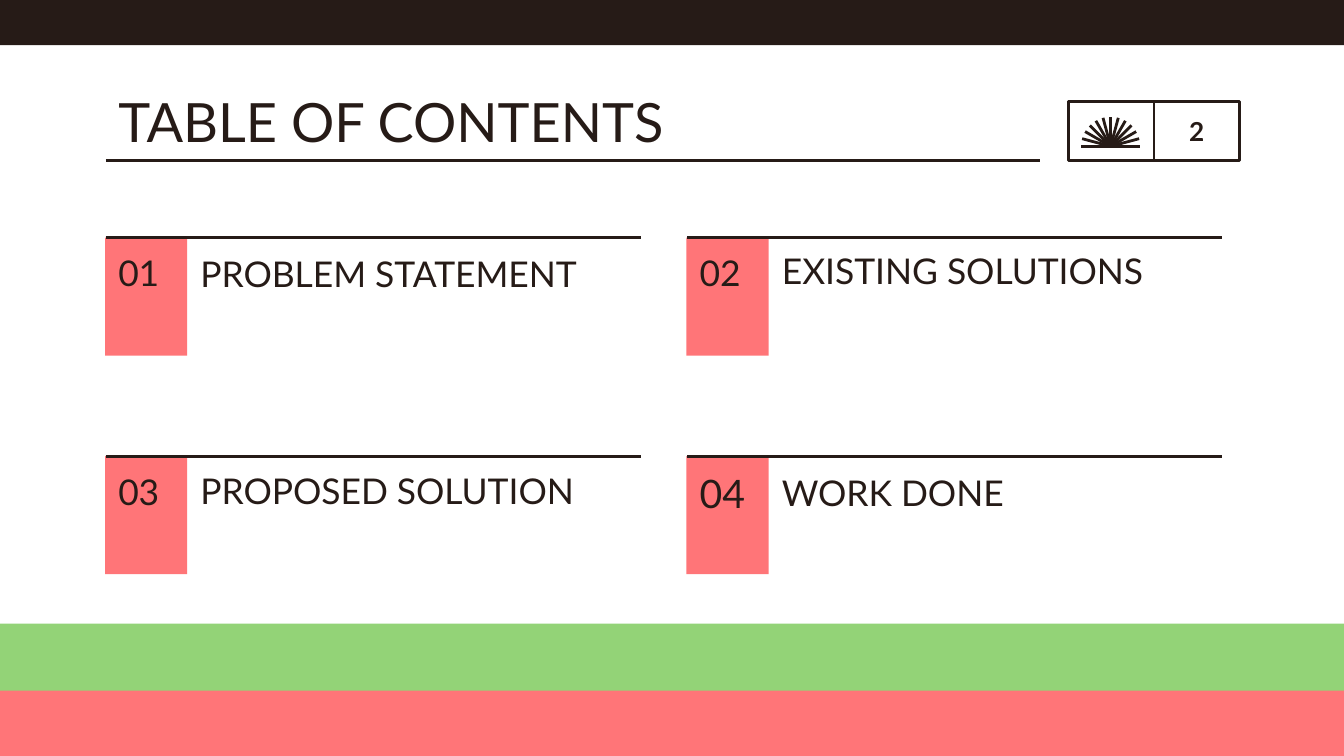
from math import cos, radians, sin

from lxml.etree import SubElement
from pptx import Presentation
from pptx.dml.color import RGBColor
from pptx.enum.shapes import MSO_CONNECTOR as Connector, MSO_SHAPE as Shape
from pptx.enum.text import MSO_ANCHOR as Anchor, PP_ALIGN as Align
from pptx.oxml.ns import qn
from pptx.util import Pt

INK = RGBColor(0x26, 0x1B, 0x17)
CORAL = RGBColor(0xFF, 0x75, 0x78)
GREEN = RGBColor(0x93, 0xD3, 0x77)
FONT = "Lato"
WIDTH, HEIGHT = 720, 405

TITLE = "TABLE OF CONTENTS"
PAGE_NUMBER = "2"
BANDS = [(368.6, 36.4, CORAL), (334.1, 36, GREEN), (0, 24.2, INK)]
TOPICS = [
    ("01", 19, "PROBLEM STATEMENT", 30.7),
    ("02", 19, "EXISTING SOLUTIONS", 28.9),
    ("03", 19, "PROPOSED SOLUTION", 29.8),
    ("04", 21, "WORK DONE", 30.7),
]
GRID_LEFT, GRID_TOP = 56.3, 127.4
COLUMN_STEP, ROW_STEP = 311.5, 117
TILE_WIDTH, TILE_HEIGHT = 44, 63.2
RULE_WIDTH, LABEL_WIDTH = 287, 252
BADGE_LEFT, BADGE_TOP, BADGE_WIDTH, BADGE_HEIGHT = 572.5, 54.5, 91.5, 31.5
SUN_X, SUN_Y, SUN_RADIUS = 595, 78.4, 15.8

deck = Presentation()
deck.slide_width, deck.slide_height = Pt(WIDTH), Pt(HEIGHT)
page = deck.slides.add_slide(deck.slide_layouts[6])


def add_block(left, top, width, height, fill=None, line=None):
    block = page.shapes.add_shape(Shape.RECTANGLE, Pt(left), Pt(top), Pt(width), Pt(height))
    block.shadow.inherit = False
    if fill is None:
        block.fill.background()
    else:
        block.fill.solid()
        block.fill.fore_color.rgb = fill
    if line is None:
        block.line.fill.background()
    else:
        block.line.color.rgb = line
        block.line.width = Pt(1.5)
    return block


def add_line(shapes, x1, y1, x2, y2):
    line = shapes.add_connector(Connector.STRAIGHT, Pt(x1), Pt(y1), Pt(x2), Pt(y2))
    line.line.color.rgb = INK
    line.line.width = Pt(1.5)
    SubElement(line._element.spPr, qn("a:effectLst"))


def add_box(left, top, width, height):
    return page.shapes.add_textbox(Pt(left), Pt(top), Pt(width), Pt(height))


def write(box, text, size=19, bold=False, align=Align.LEFT, anchor=Anchor.TOP, inset_top=7.2, inset_bottom=7.2):
    frame = box.text_frame
    frame.word_wrap = True
    frame.vertical_anchor = anchor
    frame.margin_left = frame.margin_right = Pt(7.2)
    frame.margin_top, frame.margin_bottom = Pt(inset_top), Pt(inset_bottom)
    para = frame.paragraphs[0]
    para.alignment = align
    span = para.add_run()
    span.text = text
    span.font.name = FONT
    span.font.size = Pt(size)
    span.font.bold = bold
    span.font.color.rgb = INK


for top, height, color in BANDS:
    add_block(0, top, WIDTH, height, fill=color)

write(add_box(GRID_LEFT, 40.3, 507.6, 46.1), TITLE, size=29)
add_line(page.shapes, 56.7, 86, 557.2, 86)

middle = BADGE_LEFT + BADGE_WIDTH / 2
add_block(BADGE_LEFT, BADGE_TOP, BADGE_WIDTH, BADGE_HEIGHT, line=INK)
add_line(page.shapes, middle, BADGE_TOP, middle, BADGE_TOP + BADGE_HEIGHT)
write(add_box(middle, 61.9, BADGE_WIDTH / 2, 16.6), PAGE_NUMBER,
      size=14, bold=True, align=Align.CENTER, anchor=Anchor.MIDDLE)

sun = page.shapes.add_group_shape()
for degrees in range(0, 181, 15):
    angle = radians(degrees)
    add_line(sun.shapes, SUN_X, SUN_Y,
             SUN_X + SUN_RADIUS * cos(angle), SUN_Y - SUN_RADIUS * sin(angle))

for index, (number, size, label, label_height) in enumerate(TOPICS):
    row, column = divmod(index, 2)
    left = GRID_LEFT + column * COLUMN_STEP
    top = GRID_TOP + row * ROW_STEP
    write(add_block(left, top, TILE_WIDTH, TILE_HEIGHT, fill=CORAL), number, size=size)
    write(add_box(left + TILE_WIDTH, top, LABEL_WIDTH, label_height), label,
          anchor=Anchor.BOTTOM, inset_top=0, inset_bottom=0)
    add_line(page.shapes, left + 0.3, top, left + RULE_WIDTH, top)

deck.save("out.pptx")
